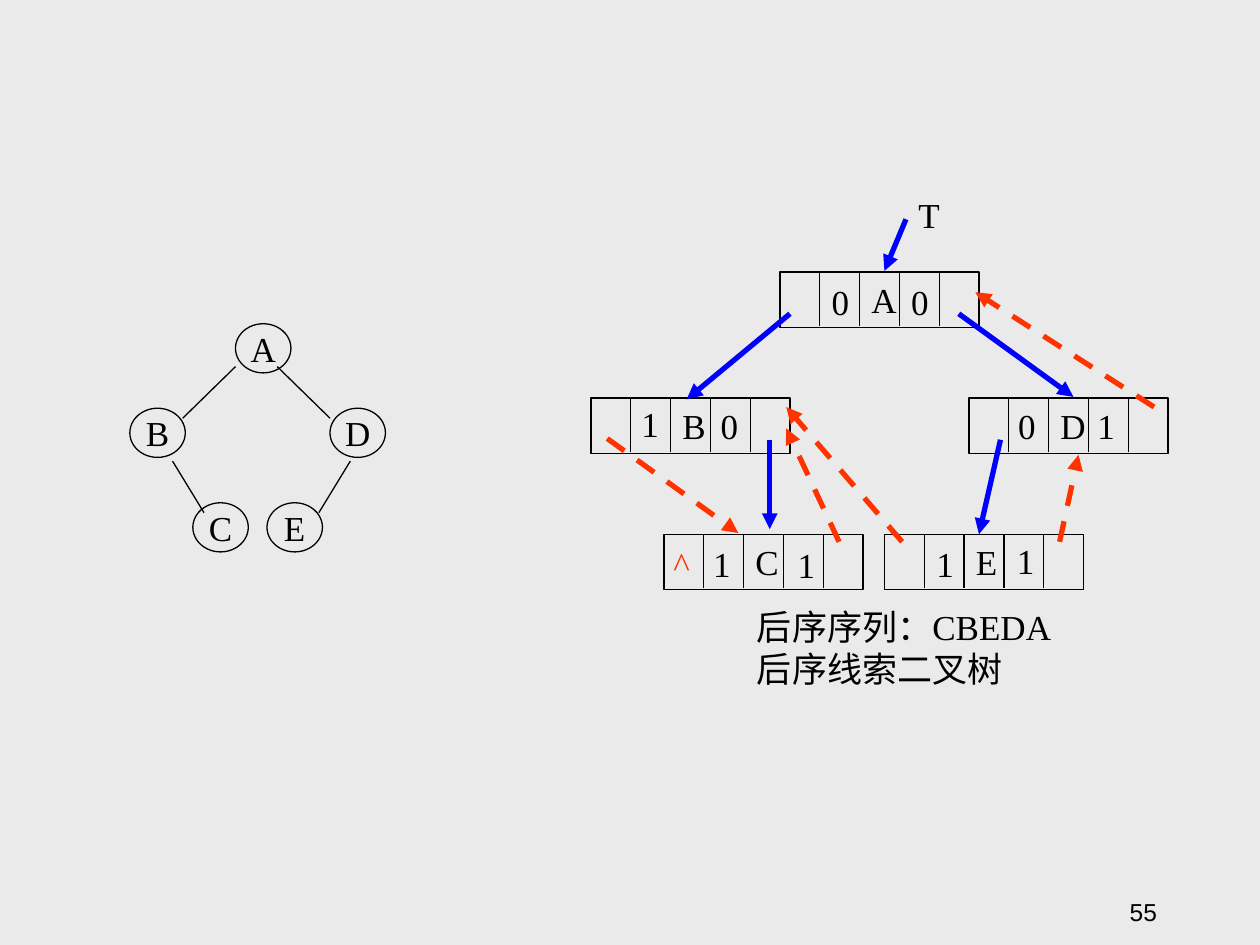
from dataclasses import dataclass

import pptx
import pptx.dml.color
import pptx.enum.dml
import pptx.enum.shapes
import pptx.enum.text
import pptx.oxml.ns
import pptx.util
from lxml import etree

Pt = pptx.util.Pt
RGBColor = pptx.dml.color.RGBColor
Align = pptx.enum.text.PP_ALIGN
Anchor = pptx.enum.text.MSO_ANCHOR
AutoSize = pptx.enum.text.MSO_AUTO_SIZE
ShapeType = pptx.enum.shapes.MSO_SHAPE

BACKGROUND = RGBColor(0xEA, 0xEA, 0xEA)
BLACK = RGBColor(0x00, 0x00, 0x00)
BLUE = RGBColor(0x00, 0x00, 0xFF)
RED = RGBColor(0xFF, 0x33, 0x00)

SERIF = "Times New Roman"
CELL_COUNT = 5
RECORD_WIDTH, RECORD_HEIGHT = 113.8, 31.7
CELL_WIDTH = RECORD_WIDTH / CELL_COUNT
DIVIDER_HEIGHT = 31
NAME_INDENT = 52.2
CIRCLE_WIDTH, CIRCLE_HEIGHT = 31.7, 28.1
FLAG_WIDTH, FLAG_HEIGHT = 24.5, 31.7


@dataclass
class Circle:
    name: str
    left: float
    top: float


@dataclass
class Record:
    name: str
    left: float
    top: float


@dataclass
class Label:
    text: str
    left: float
    top: float
    color: RGBColor = BLACK


@dataclass
class Line:
    x1: float
    y1: float
    x2: float
    y2: float


CIRCLES = [
    Circle("A", 134.6, 185),
    Circle("B", 74.2, 233.3),
    Circle("C", 110.2, 287.3),
    Circle("D", 188.6, 233.3),
    Circle("E", 152.6, 287.3),
]
TREE_EDGES = [
    Line(134.6, 209.5, 104.4, 239),
    Line(158.4, 209.5, 188.6, 239),
    Line(98.6, 263.5, 116.6, 293),
    Line(200.2, 263.5, 182.2, 293),
]
RECORDS = [
    Record("A", 445.7, 155.5),
    Record("B", 337.7, 227.5),
    Record("D", 553.7, 227.5),
    Record("C", 379.4, 305.3),
    Record("E", 505.4, 305.3),
]
FLAGS = [
    Label("0", 468, 156.2), Label("0", 513.4, 156.2),
    Label("1", 359.3, 226.1), Label("0", 404.6, 227.5),
    Label("0", 574.6, 227.5), Label("1", 619.9, 227.5),
    Label("1", 400.3, 306), Label("1", 448.6, 306.7),
    Label("1", 527.8, 306), Label("1", 573.8, 304.6),
    Label("^", 377.3, 306, RED),
]
CHILD_ARROWS = [
    Line(451.4, 179.3, 392.4, 228.2),
    Line(547.9, 179.3, 613.4, 226.8),
    Line(439.9, 251.3, 439.9, 302.4),
    Line(571.7, 251.3, 559.4, 305.3),
    Line(517.7, 125.3, 505.4, 154.8),
]
THREAD_ARROWS = [
    Line(347, 250.6, 421.9, 304.6),
    Line(479.5, 309.6, 449.3, 244.8),
    Line(515.5, 309.6, 449.3, 232.6),
    Line(605.5, 309.6, 616.3, 259.9),
    Line(659.5, 232.6, 557.3, 167),
]


def write(shape, lines: list[str], align=Align.LEFT, anchor=Anchor.MIDDLE,
          color: RGBColor = BLACK, font: str = SERIF, size: float = 20) -> None:
    frame = shape.text_frame
    frame.word_wrap = False
    frame.vertical_anchor = anchor
    frame.text = "\n".join(lines)
    for paragraph in frame.paragraphs:
        paragraph.alignment = align
        paragraph.font.name = font
        paragraph.font.size = Pt(size)
        paragraph.font.color.rgb = color


def draw_outline(slide, kind, left: float, top: float, width: float, height: float):
    shape = slide.shapes.add_shape(kind, Pt(left), Pt(top), Pt(width), Pt(height))
    shape.shadow.inherit = False
    shape.fill.background()
    shape.line.color.rgb = BLACK
    shape.line.width = Pt(0.75)
    return shape


def draw_text(slide, lines: list[str], left: float, top: float,
              width: float, height: float, **style) -> None:
    box = slide.shapes.add_textbox(Pt(left), Pt(top), Pt(width), Pt(height))
    write(box, lines, **style)
    box.text_frame.auto_size = AutoSize.SHAPE_TO_FIT_TEXT


def draw_line(slide, line: Line, color: RGBColor = BLACK, width: float = 0.75,
              arrow: bool = False, dashed: bool = False) -> None:
    connector = slide.shapes.add_connector(
        pptx.enum.shapes.MSO_CONNECTOR.STRAIGHT,
        Pt(line.x1), Pt(line.y1), Pt(line.x2), Pt(line.y2))
    connector.line.color.rgb = color
    connector.line.width = Pt(width)
    if dashed:
        connector.line.dash_style = pptx.enum.dml.MSO_LINE.DASH
    properties = connector._element.spPr
    qn = pptx.oxml.ns.qn
    if arrow:
        etree.SubElement(properties.find(qn("a:ln")), qn("a:tailEnd"), type="triangle")
    etree.SubElement(properties, qn("a:effectLst"))


def draw_circle(slide, circle: Circle) -> None:
    shape = draw_outline(slide, ShapeType.OVAL, circle.left, circle.top,
                         CIRCLE_WIDTH, CIRCLE_HEIGHT)
    write(shape, [circle.name], align=Align.CENTER)


def draw_record(slide, record: Record) -> None:
    shape = draw_outline(slide, ShapeType.RECTANGLE, record.left, record.top,
                         RECORD_WIDTH, RECORD_HEIGHT)
    write(shape, [record.name])
    shape.text_frame.word_wrap = True
    shape.text_frame.margin_left = Pt(NAME_INDENT)
    for cell in range(1, CELL_COUNT):
        x = record.left + cell * CELL_WIDTH
        draw_line(slide, Line(x, record.top, x, record.top + DIVIDER_HEIGHT))


def main() -> None:
    presentation = pptx.Presentation()
    presentation.slide_width, presentation.slide_height = Pt(720), Pt(540)
    slide = presentation.slides.add_slide(presentation.slide_layouts[6])
    slide.background.fill.solid()
    slide.background.fill.fore_color.rgb = BACKGROUND

    # Binary tree
    for circle in CIRCLES:
        draw_circle(slide, circle)
    for edge in TREE_EDGES:
        draw_line(slide, edge)

    # Threaded storage: records, child pointers, flags and threads
    for record in RECORDS:
        draw_record(slide, record)
    for child_arrow in CHILD_ARROWS:
        draw_line(slide, child_arrow, BLUE, 3, arrow=True)
    for flag in FLAGS:
        draw_text(slide, [flag.text], flag.left, flag.top, FLAG_WIDTH, FLAG_HEIGHT,
                  align=Align.CENTER, color=flag.color)
    for thread_arrow in THREAD_ARROWS:
        draw_line(slide, thread_arrow, RED, 3, arrow=True, dashed=True)

    # Root label, caption and page number
    draw_text(slide, ["T"], 517.7, 107.3, 26.6, 31.7, anchor=Anchor.TOP)
    draw_text(slide, ["后序序列：CBEDA", "后序线索二叉树"], 425.5, 342.7, 187.2, 55.4,
              anchor=Anchor.TOP)
    page_number = slide.shapes.add_textbox(Pt(518.4), Pt(496.8), Pt(149.8), Pt(36))
    write(page_number, ["55"], align=Align.RIGHT, anchor=Anchor.BOTTOM,
          font="Arial", size=14)
    page_number.text_frame.word_wrap = True

    presentation.save("out.pptx")


if __name__ == "__main__":
    main()
